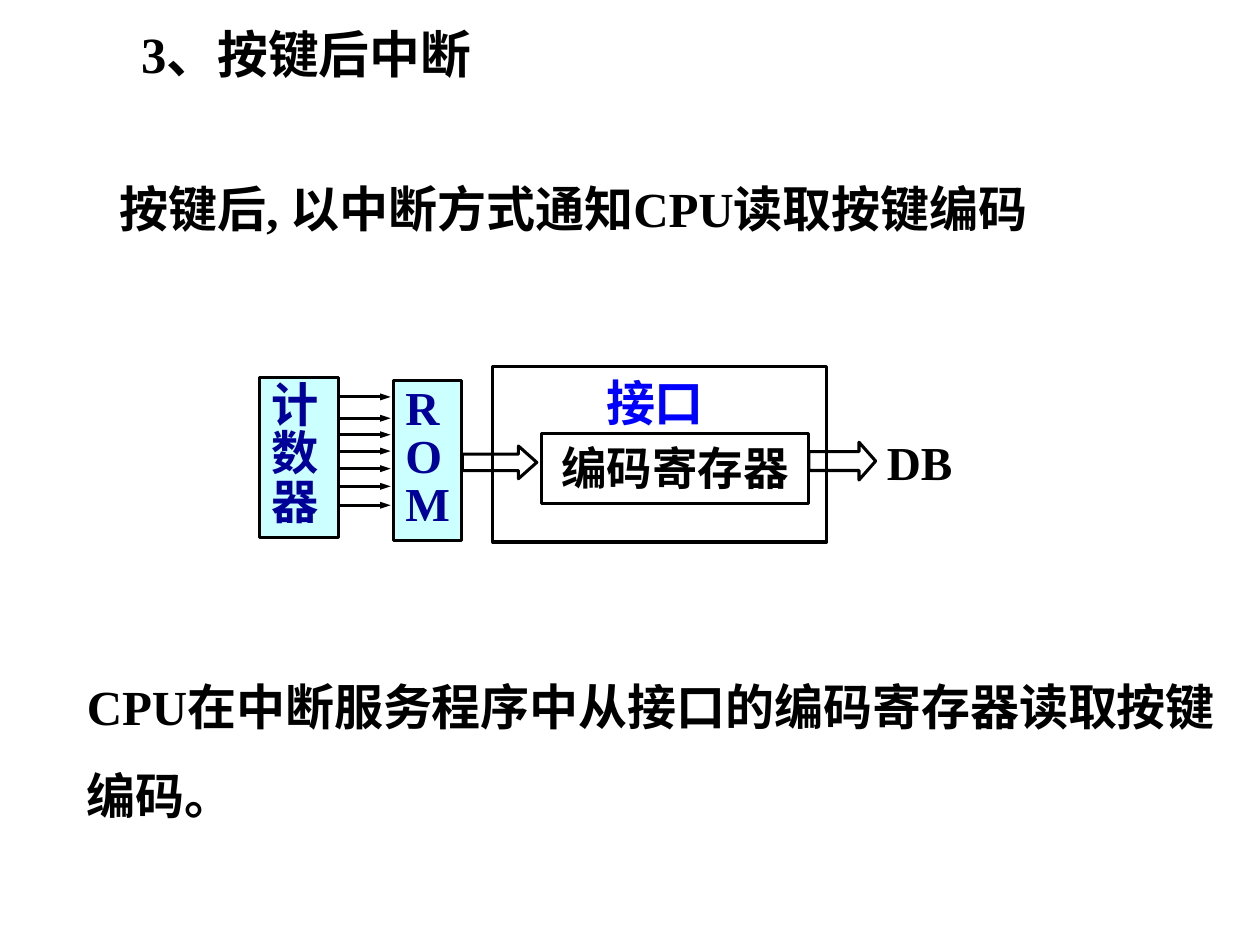
from dataclasses import dataclass

import pptx
import pptx.dml.color
import pptx.enum.shapes
import pptx.enum.text
import pptx.oxml.ns
import pptx.util
from lxml import etree

Inches = pptx.util.Inches
Pt = pptx.util.Pt
SHAPE = pptx.enum.shapes.MSO_SHAPE
ALIGN = pptx.enum.text.PP_ALIGN
qn = pptx.oxml.ns.qn

FONT = "Times New Roman"
COLORS = {"black": "000000", "navy": "000099", "blue": "0000FF", "cyan": "CCFFFF"}


@dataclass
class Label:
    text: str
    size: float
    color: str = "black"
    align: ALIGN = ALIGN.LEFT
    spacing: float = 1.0
    indent: float = 0.1


@dataclass
class Block:
    box: tuple[float, float, float, float]
    label: Label
    fill: str | None = None
    line: float = 1.75


@dataclass
class BusArrow:
    box: tuple[float, float, float, float]
    head: float


def rgb(name: str) -> pptx.dml.color.RGBColor:
    return pptx.dml.color.RGBColor.from_string(COLORS[name])


def write(shape, label: Label) -> None:
    tf = shape.text_frame
    tf.word_wrap = True
    tf.auto_size = pptx.enum.text.MSO_AUTO_SIZE.NONE
    tf.vertical_anchor = pptx.enum.text.MSO_ANCHOR.TOP
    tf.margin_left = Inches(label.indent)
    p = tf.paragraphs[0]
    p.text = label.text
    p.alignment = label.align
    p.line_spacing = label.spacing
    p.font.name = FONT
    p.font.size = Pt(label.size)
    p.font.bold = True
    p.font.color.rgb = rgb(label.color)


def add_outline(s, kind: SHAPE, box: tuple, line: float, fill: str | None = None):
    shape = s.shapes.add_shape(kind, *map(Inches, box))
    shape.shadow.inherit = False
    if fill:
        shape.fill.solid()
        shape.fill.fore_color.rgb = rgb(fill)
    else:
        shape.fill.background()
    shape.line.color.rgb = rgb("black")
    shape.line.width = Pt(line)
    return shape


def add_block(s, block: Block) -> None:
    write(add_outline(s, SHAPE.RECTANGLE, block.box, block.line, block.fill), block.label)


def add_bus(s, bus: BusArrow) -> None:
    shape = add_outline(s, SHAPE.RIGHT_ARROW, bus.box, 1.75)
    shape.adjustments[0] = 0.5
    shape.adjustments[1] = bus.head


def add_wire(s, x1: float, x2: float, y: float) -> None:
    wire = s.shapes.add_connector(
        pptx.enum.shapes.MSO_CONNECTOR.STRAIGHT,
        Inches(x1), Inches(y), Inches(x2), Inches(y))
    wire.line.color.rgb = rgb("black")
    wire.line.width = Pt(1.75)
    etree.SubElement(wire.line._get_or_add_ln(), qn("a:tailEnd"),
                     type="triangle", w="sm", len="med")
    etree.SubElement(wire._element.spPr, qn("a:effectLst"))


def add_text(s, box: tuple, label: Label) -> None:
    write(s.shapes.add_textbox(*map(Inches, box)), label)


BLOCKS = [
    Block((2.06, 3.0, 0.63, 1.27), Label("计数器", 27, "navy", spacing=0.85), "cyan"),
    Block((3.12, 3.02, 0.54, 1.27), Label("ROM", 27, "navy", spacing=0.85), "cyan"),
    Block((3.91, 2.91, 2.65, 1.39), Label("接口", 28, "blue", indent=0.9), line=2),
    Block((4.3, 3.44, 2.12, 0.56), Label("编码寄存器", 26, align=ALIGN.CENTER)),
]
BUSES = [
    BusArrow((3.67, 3.54, 0.59, 0.26), 0.56),
    BusArrow((6.42, 3.51, 0.53, 0.3), 0.44),
]
WIRE_YS = [3.15, 3.32, 3.45, 3.58, 3.72, 3.86, 4.01]
TEXTS = [
    ((6.94, 3.39, 0.74, 0.55), Label("DB", 27)),
    ((0.85, 1.37, 9.15, 0.57), Label("按键后, 以中断方式通知CPU读取按键编码", 28)),
    ((0.59, 5.09, 9.39, 1.43),
     Label("CPU在中断服务程序中从接口的编码寄存器读取按键编码。", 28, spacing=1.5)),
]


def main() -> None:
    prs = pptx.Presentation()
    prs.slide_width, prs.slide_height = Inches(10), Inches(7.5)
    s = prs.slides.add_slide(prs.slide_layouts[5])

    # Title
    title = s.shapes.title
    title.left, title.top = Inches(1.02), Inches(0.13)
    title.width, title.height = Inches(4.13), Inches(0.58)
    write(title, Label("3、按键后中断", 29))

    # Block diagram: counter, ROM, interface with code register
    for block in BLOCKS:
        add_block(s, block)
    for y in WIRE_YS:
        add_wire(s, 2.7, 3.1, y)
    for bus in BUSES:
        add_bus(s, bus)

    # Data bus label and explanations
    for box, label in TEXTS:
        add_text(s, box, label)

    prs.save("out.pptx")


if __name__ == "__main__":
    main()
